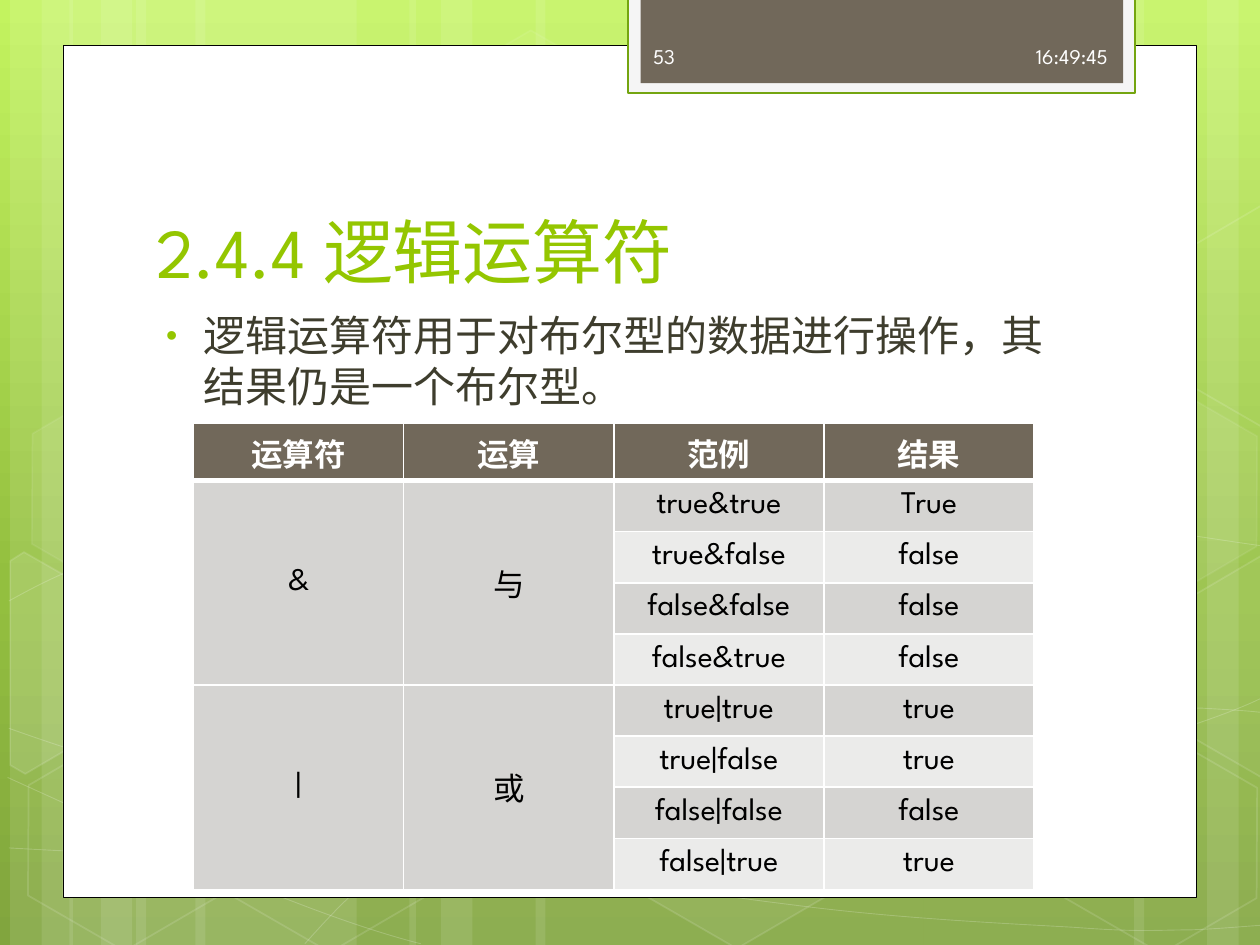
from math import cos, radians, sin

from lxml.etree import SubElement
from pptx import Presentation
from pptx.dml.color import RGBColor
from pptx.enum.shapes import MSO_SHAPE
from pptx.enum.text import MSO_ANCHOR, PP_ALIGN
from pptx.oxml import parse_xml
from pptx.oxml.ns import nsdecls, qn
from pptx.util import Emu, Inches, Pt

WHITE = RGBColor(0xFF, 0xFF, 0xFF)
PALE = RGBColor(0xF5, 0xF5, 0xF5)
NEAR = RGBColor(0xFE, 0xFE, 0xFE)
BLACK = RGBColor(0, 0, 0)
LIME = RGBColor(0x94, 0xC6, 0x00)
LEAF = RGBColor(0x74, 0xA5, 0x10)
BROWN = RGBColor(0x71, 0x68, 0x5A)
INK = RGBColor(0x3E, 0x3D, 0x2D)
DARK = RGBColor(0xD5, 0xD4, 0xD2)
LIGHT = RGBColor(0xEB, 0xEB, 0xEA)
GLOW = [(0, RGBColor(0xC3, 0xF3, 0x5F)), (62, RGBColor(0x93, 0xBF, 0x3F)),
        (100, RGBColor(0x81, 0xA5, 0x3E))]

COLS, ROWS = 100, 75  # the slide grid; all lengths below are in its cells
TILT = 30

# left, width, rotation
STRIPES = [(10.8, 17.5, 0), (0.8, 5, 0), (3.3, 8.3, 0), (15.5, 17.5, 0), (5.5, 5, 0),
           (8, 8.3, 0), (73.3, 17.5, 180), (95.8, 5, 180), (90, 8.3, 180),
           (42.5, 30.8, 0), (32.5, 5, 0), (35, 8.3, 0)]
# each wave: a start point, then three points for every Bezier piece
WAVES = [
    [(0.7, 67.3), (6.1, 67.6), (11.5, 67.9), (19, 67.8), (26.5, 67.7), (35.8, 67.5),
     (45.8, 66.5), (55.8, 65.5), (70, 63.6), (79.2, 61.7), (88.3, 59.8), (97.7, 56.8),
     (100.7, 55.1)],
    [(0.7, 47.7), (3.6, 46.1), (6.5, 44.6), (12.1, 43.1), (17.8, 41.6), (25.9, 39.4),
     (34.7, 38.7), (43.6, 38), (54.4, 37.9), (65.4, 38.7), (76.4, 39.5), (94.7, 42.6),
     (100.7, 43.4)],
    [(0.6, 61.7), (12.7, 67.2), (24.7, 72.7), (33.4, 74.9)],
    [(0.7, 57.8), (3.8, 58.9), (7, 60), (12.8, 61.6), (18.6, 63.1), (27.3, 65.6),
     (35.7, 67.3), (44, 69), (54.5, 70.8), (62.8, 71.8), (71.1, 72.9), (80, 73.3),
     (85.3, 73.6), (90.5, 74), (91.9, 73.8), (94.5, 73.8), (97.1, 73.7), (98.9, 73.5),
     (100.7, 73.4)],
    [(24.2, 74.9), (26, 72.9), (27.8, 70.9), (30.2, 69.1), (32.6, 67.3), (36, 65.3),
     (38.8, 63.9), (41.6, 62.5), (43.3, 61.9), (47, 60.9), (50.6, 59.9), (57.3, 58.5),
     (60.8, 57.8), (64.4, 57.1), (64.9, 57.1), (68, 56.9), (71.1, 56.6), (76, 56.3),
     (79.4, 56.2), (82.9, 56.1), (88.6, 56.2), (88.6, 56.2), (88.6, 56.2), (95.3, 56.2),
     (95.3, 56.2), (97.1, 56.3), (98.8, 56.4), (99.7, 56.5), (100.6, 56.6), (100.3, 56.5),
     (100.6, 56.6)],
]
# left, top, fill opacity, line opacity
HEXES = [(33.4, 3.6, 4, 8), (49.7, 58.9, 6, 12), (1.1, 59.1, 0, 12), (1.4, 31.2, 7, 8),
         (17.4, 59.2, 0, 12), (75.3, 45.3, 10, 12), (83.4, 59.3, 0, 12),
         (83.4, 31.4, 7, 8)]
# hexagons cut off by the slide edge: centre, outline, fill opacity
CUTS = [
    ((3.6, 53.5), [(0.8, 44.5), (1.9, 43.8), (9.6, 48.2), (9.5, 57), (2, 61.4),
                   (0.8, 60.7)], 10),
    ((98.5, 52), [(92.6, 48.5), (100.1, 44.1), (100.9, 44.6), (100.9, 61.3),
                  (100.2, 61.7), (92.6, 57.3)], 4),
    ((98.5, 24.1), [(92.6, 20.7), (100.1, 16.3), (101, 16.8), (100.9, 33.5),
                    (100.2, 33.9), (92.6, 29.5)], 0),
]
HEAD = ["运算符", "运算", "范例", "结果"]
BLOCKS = [
    ("&", "与", [("true&true", "True"), ("true&false", "false"),
                ("false&false", "false"), ("false&true", "false")]),
    ("|", "或", [("true|true", "true"), ("true|false", "true"),
                ("false|false", "false"), ("false|true", "true")]),
]


def level(dots, hub):
    """Turn points back about the hub, so that the tilt restores them."""
    c, s = cos(radians(TILT)), sin(radians(TILT))
    return [(hub[0] + c * (x - hub[0]) + s * (y - hub[1]),
             hub[1] - s * (x - hub[0]) + c * (y - hub[1])) for x, y in dots]


class Deck:
    face = "League Spartan"

    def __init__(self):
        self.file = Presentation()
        self.file.slide_width, self.file.slide_height = Inches(10), Inches(7.5)
        self.slide = self.file.slides.add_slide(self.file.slide_layouts[6])
        self.shapes = self.slide.shapes

    def x(self, cols):
        return Emu(round(self.file.slide_width * cols / COLS))

    def y(self, rows):
        return Emu(round(self.file.slide_height * rows / ROWS))

    def box(self, left, top, width, height):
        return self.x(left), self.y(top), self.x(width), self.y(height)

    def ground(self, stops):
        marks = "".join(f'<a:gs pos="{pos * 1000}"><a:srgbClr val="{tone}"/></a:gs>'
                        for pos, tone in stops)
        self.slide.element.cSld.insert(0, parse_xml(
            f'<p:bg {nsdecls("p", "a")}><p:bgPr><a:gradFill rotWithShape="1"><a:gsLst>'
            f'{marks}</a:gsLst><a:lin ang="5400000" scaled="0"/></a:gradFill>'
            '<a:effectLst/></p:bgPr></p:bg>'))

    def paint(self, shape, fill=None, line=None, width=1, fade=100, edge=100):
        """Set fill and line; fade and edge are their opacities in percent."""
        shape.shadow.inherit = False
        for part, tone in ((shape.fill, fill), (shape.line.fill, line)):
            if tone is None:
                part.background()
            else:
                part.solid()
                part.fore_color.rgb = tone
        if line is not None:
            shape.line.width = Pt(width)
        props = shape.element.spPr
        for root, share in ((props, fade), (props.find(qn("a:ln")), edge)):
            tint = root.find(f'{qn("a:solidFill")}/{qn("a:srgbClr")}')
            if tint is not None and share < 100:
                SubElement(tint, qn("a:alpha"), val=str(share * 1000))

    def block(self, area, kind=MSO_SHAPE.RECTANGLE, turn=0, **look):
        shape = self.shapes.add_shape(kind, *self.box(*area))
        shape.rotation = turn
        self.paint(shape, **look)
        return shape

    def hexa(self, left, top, fade, edge):
        shape = self.block((left, top, 17.5, 15.2), MSO_SHAPE.HEXAGON, TILT,
                           fill=WHITE if fade else None, line=WHITE, fade=fade, edge=edge)
        shape.adjustments[0] = 0.285

    def trace(self, dots, close, **look):
        dots = [(self.x(a), self.y(b)) for a, b in dots]
        pen = self.shapes.build_freeform(*dots[0])
        pen.add_line_segments(dots[1:], close=close)
        shape = pen.convert_to_shape()
        self.paint(shape, line=WHITE, **look)
        return shape

    def wave(self, dots):
        """Draw the points, then join each three line ends into one Bezier."""
        shape = self.trace(dots, False, width=0.5, edge=20)
        lines = list(shape.element.iter(qn("a:lnTo")))
        for i in range(0, len(lines), 3):
            curve = SubElement(lines[i].getparent(), qn("a:cubicBezTo"))
            for line in lines[i:i + 3]:
                curve.append(line[0])
                line.getparent().remove(line)

    def style(self, para, size, tone, bold=False):
        font = para.font
        font.name, font.size, font.bold = self.face, Pt(size), bold
        font.color.rgb = tone

    def text(self, area, words, size, tone, anchor, align=PP_ALIGN.LEFT, dot=None):
        frame = self.shapes.add_textbox(*self.box(*area)).text_frame
        frame.word_wrap, frame.vertical_anchor = True, anchor
        para = frame.paragraphs[0]
        para.text, para.alignment = words, align
        if dot is not None:
            props = para._p.get_or_add_pPr()
            props.set("marL", str(self.x(3.8)))
            props.set("indent", str(-self.x(3)))
            SubElement(SubElement(props, qn("a:buClr")), qn("a:srgbClr"), val=str(dot))
            SubElement(props, qn("a:buSzPct"), val="76000")
            SubElement(props, qn("a:buFont"), typeface="Arial")
            SubElement(props, qn("a:buChar"), char="•")
        self.style(para, size, tone)

    def cell(self, cell, words, fill, tone=BLACK, bold=False, base=1):
        """Fill one table cell; base is the width of its lower border."""
        cell.text, cell.vertical_anchor = words, MSO_ANCHOR.MIDDLE
        para = cell.text_frame.paragraphs[0]
        para.alignment = PP_ALIGN.CENTER
        self.style(para, 18, tone, bold)
        cell.fill.solid()
        cell.fill.fore_color.rgb = fill
        props = cell._tc.get_or_add_tcPr()
        for i, (side, width) in enumerate(zip("LRTB", (1, 1, 1, base))):
            props.insert(i, parse_xml(
                f'<a:ln{side} {nsdecls("a")} w="{Pt(width)}"><a:solidFill>'
                f'<a:srgbClr val="{WHITE}"/></a:solidFill></a:ln{side}>'))

    def table(self, area, top_row, head, blocks):
        span = len(blocks[0][2])
        grid = self.shapes.add_table(1 + span * len(blocks), len(head),
                                     *self.box(*area)).table
        grid.rows[0].height = self.y(top_row)
        for col, words in enumerate(head):
            self.cell(grid.cell(0, col), words, BROWN, WHITE, True, 3)
        for i, (sign, name, cases) in enumerate(blocks):
            top = 1 + i * span
            for row, case in enumerate(cases, top):
                lead = (sign, name) if row == top else ("", "")
                for col, words in enumerate(lead + case):
                    fill = DARK if col < 2 or row % 2 else LIGHT
                    self.cell(grid.cell(row, col), words, fill)
            for col in (0, 1):
                grid.cell(top, col).merge(grid.cell(top + span - 1, col))


def main():
    deck = Deck()
    deck.ground(GLOW)
    for left, width, turn in STRIPES:
        deck.block((left, 0, width, ROWS), turn=turn, fill=WHITE, fade=10)
    for dots in WAVES:
        deck.wave(dots)
    for spot in HEXES:
        deck.hexa(*spot)
    for hub, dots, fade in CUTS:
        deck.trace(level(dots, hub), True, fill=WHITE if fade else None,
                   fade=fade, edge=12).rotation = TILT

    deck.block((5, 3.6, 90, 67.65), fill=WHITE, line=BLACK, width=0.5)
    deck.block((49.85, -0.2, 40.2, 7.6), fill=PALE, line=LEAF, width=1.25)
    deck.block((50.85, -0.2, 38.3, 6.8), fill=BROWN)

    deck.text((11.4, 11.2, 76.8, 12.5), "2.4.4 逻辑运算符", 40, LIME, MSO_ANCHOR.BOTTOM)
    deck.text((11.4, 24.1, 74.1, 38.4), "逻辑运算符用于对布尔型的数据进行操作，其结果仍是一个布尔型。",
              24, INK, MSO_ANCHOR.TOP, dot=LIME)
    deck.text((65.6, 2.45, 23.3, 4), "16:49:45", 12, NEAR, MSO_ANCHOR.MIDDLE, PP_ALIGN.RIGHT)
    deck.text((50.85, 2.45, 14.6, 4), "53", 12, NEAR, MSO_ANCHOR.MIDDLE)
    deck.table((15.37, 33.6, 66.7, 36.5), 4.55, HEAD, BLOCKS)
    deck.file.save("out.pptx")


if __name__ == "__main__":
    main()
